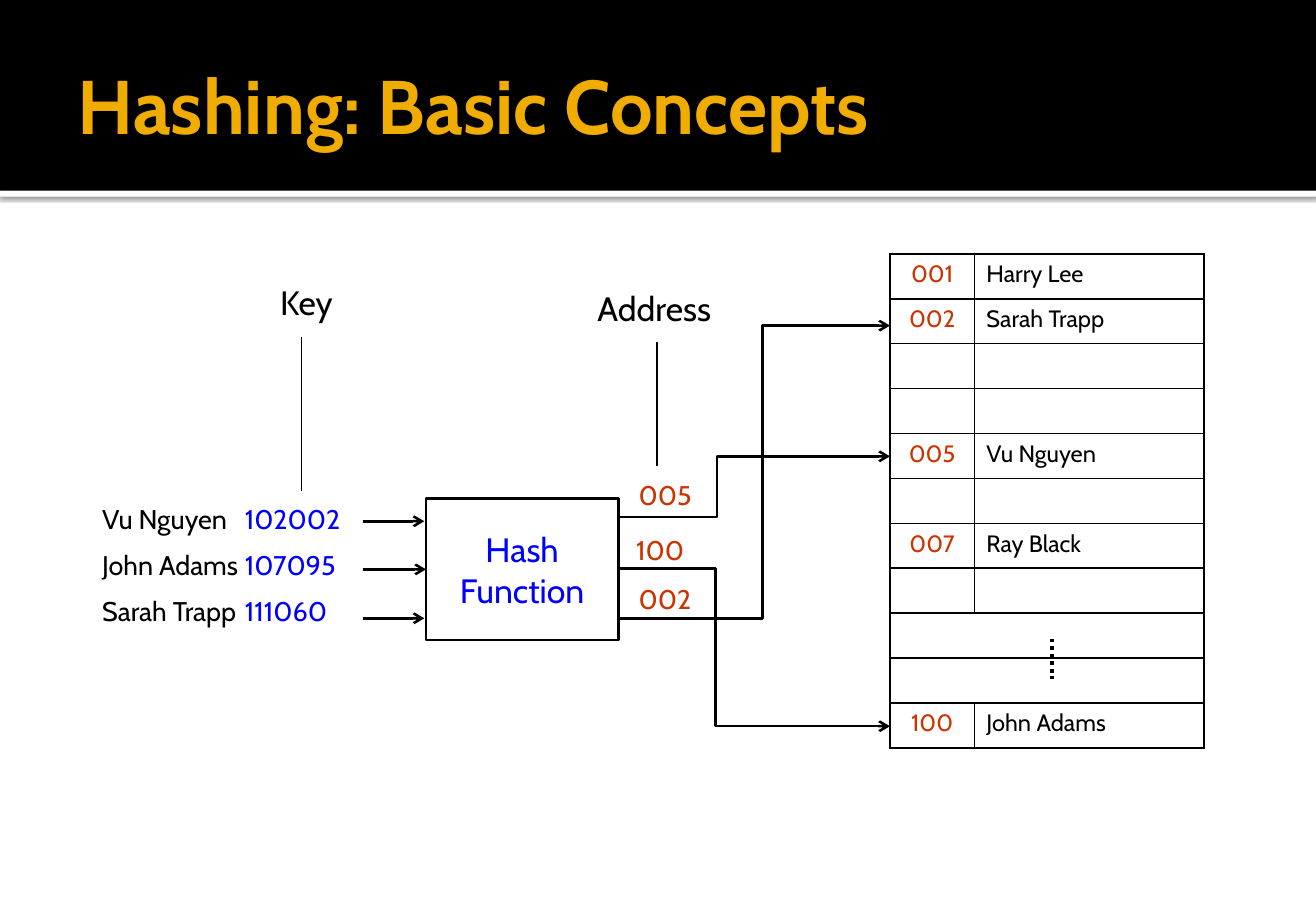
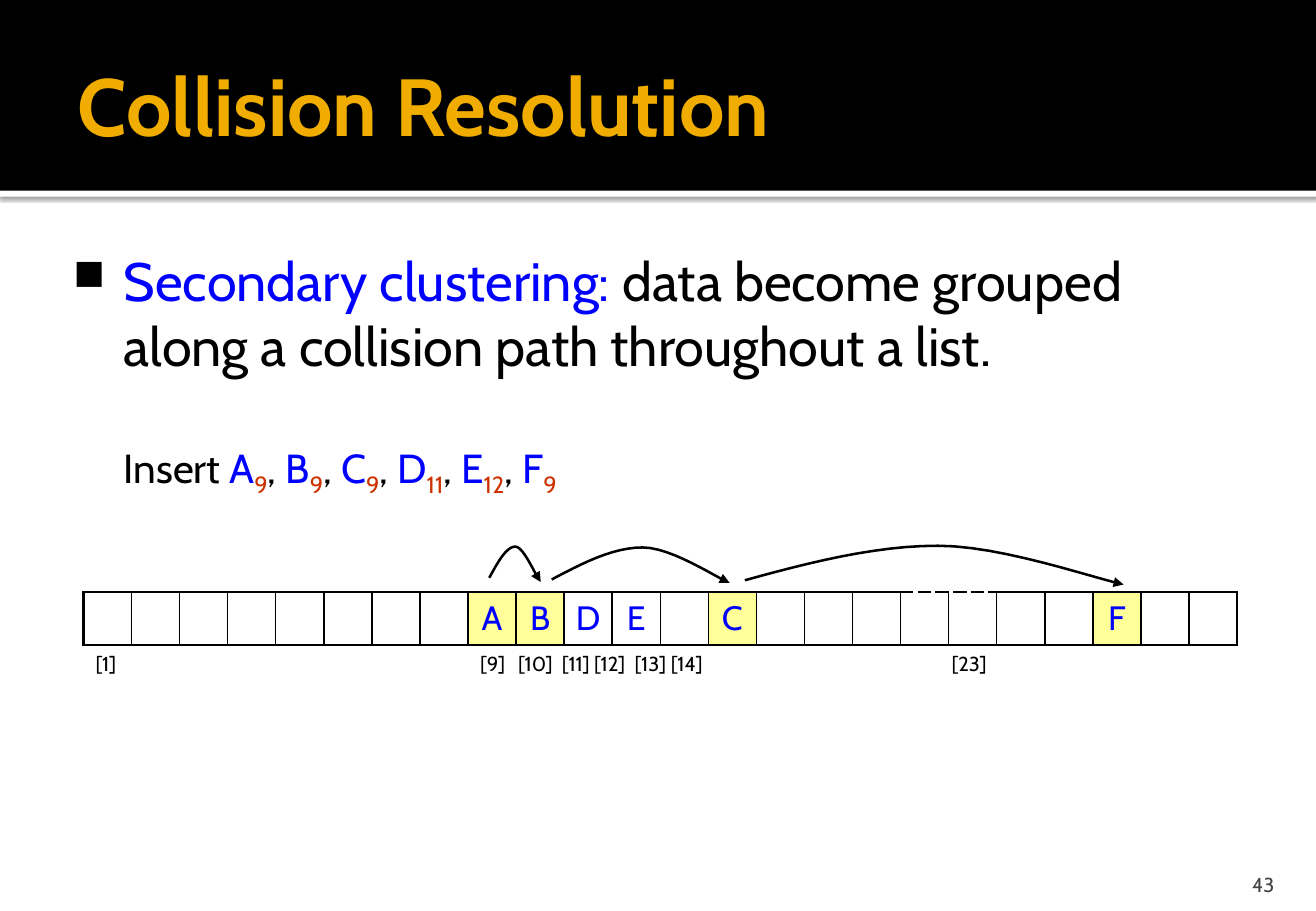
from lxml.etree import SubElement
from pptx import Presentation
from pptx.dml.color import RGBColor
from pptx.enum.shapes import MSO_CONNECTOR, MSO_SHAPE
from pptx.enum.text import MSO_ANCHOR, PP_ALIGN
from pptx.oxml.ns import qn
from pptx.util import Pt

FONT = "Cabin"
BLACK, WHITE, GOLD, GREY = "000000", "FFFFFF", "F0AD00", "454545"
BLUE, RED, YELLOW = "0000FF", "CC3300", "FFFF99"
NO_GRID_STYLE = "{2D5ABB26-0587-4C30-8999-92F81FD0307C}"


def write(text_frame, paragraphs, size, align=None, bold=False, space=0, tabs=()):
    """Fill a text frame; each paragraph is a list of (text, colour) runs."""
    text_frame.word_wrap = True
    for index, runs in enumerate(paragraphs):
        paragraph = text_frame.add_paragraph() if index else text_frame.paragraphs[0]
        paragraph.alignment = align
        if index and space:
            paragraph.space_before = Pt(space)
        if tabs:
            tab_list = SubElement(paragraph._p.get_or_add_pPr(), qn("a:tabLst"))
            for tab in tabs:
                SubElement(tab_list, qn("a:tab"), pos=str(Pt(tab)), algn="l")
        for text, colour in runs:
            run = paragraph.add_run()
            run.text = text
            run.font.name = FONT
            run.font.size = Pt(size)
            run.font.bold = bold
            run.font.color.rgb = RGBColor.from_string(colour)
        if not runs:
            SubElement(paragraph._p, qn("a:endParaRPr"), sz=str(size * 100))


def add_outline(properties, tag, width, dash="solid", arrow=None):
    """Append a black line to shape properties (a:ln) or cell properties (a:lnL ...)."""
    line = SubElement(properties, qn(tag), w=str(Pt(width)))
    fill = SubElement(line, qn("a:solidFill"))
    SubElement(fill, qn("a:srgbClr"), val=BLACK)
    SubElement(line, qn("a:prstDash"), val=dash)
    if arrow:
        SubElement(line, qn("a:tailEnd"), type=arrow)


presentation = Presentation()
presentation.slide_width, presentation.slide_height = Pt(780), Pt(540)

# Bands and titles
slides = []
for title, title_size in (("Hashing: Basic Concepts", 45), ("Collision Resolution", 48)):
    slide = presentation.slides.add_slide(presentation.slide_layouts[6])
    slides.append(slide)
    for top, height, colour in ((113, 3.6, WHITE), (0, 113, BLACK)):
        band = slide.shapes.add_shape(MSO_SHAPE.RECTANGLE, 0, Pt(top), Pt(780), Pt(height))
        band.fill.solid()
        band.fill.fore_color.rgb = RGBColor.from_string(colour)
        band.line.fill.background()
        band.shadow.inherit = False
        if colour == WHITE:
            effects = band._element.spPr.find(qn("a:effectLst"))
            shadow = SubElement(effects, qn("a:outerShdw"), blurRad=str(Pt(2.5)),
                                dist=str(Pt(0.8)), dir="5400000", rotWithShape="0")
            shade = SubElement(shadow, qn("a:srgbClr"), val=BLACK)
            SubElement(shade, qn("a:alpha"), val="60000")
    title_frame = slide.shapes.add_textbox(Pt(39), Pt(12), Pt(702), Pt(99)).text_frame
    title_frame.vertical_anchor = MSO_ANCHOR.MIDDLE
    title_frame.margin_right = Pt(3.6)
    write(title_frame, [[(title, GOLD)]], title_size, bold=True)
hashing_slide, collision_slide = slides

# Tables: address list and hash array
address_table = hashing_slide.shapes.add_table(11, 2, Pt(527.5), Pt(150.5), Pt(186), Pt(293)).table
array_table = collision_slide.shapes.add_table(2, 24, Pt(49.5), Pt(351), Pt(684), Pt(60)).table
for table, widths, heights in (
    (address_table, [50, 136], [26.64] * 11),
    (array_table, [28.5] * 24, [31.5, 28.5]),
):
    table.first_row = table.horz_banding = False
    table._tbl.tblPr.find(qn("a:tableStyleId")).text = NO_GRID_STYLE
    for column, width in zip(table.columns, widths):
        column.width = Pt(width)
    for row, height in zip(table.rows, heights):
        row.height = Pt(height)

# Address list: rows 8 and 9 form one open area
records = {0: ("001", "Harry Lee"), 1: ("002", "Sarah Trapp"), 4: ("005", "Vu Nguyen"),
           6: ("007", "Ray Black"), 10: ("100", "John Adams")}
for row in range(11):
    for column in range(2):
        cell = address_table.cell(row, column)
        runs = [(records[row][column], (RED, BLACK)[column])] if row in records else []
        write(cell.text_frame, [runs], 14, PP_ALIGN.LEFT if column else PP_ALIGN.CENTER)
        is_open = row in (8, 9)
        borders = {
            "a:lnL": 1.5 if column == 0 else 0 if is_open else 1,
            "a:lnR": 1.5 if column == 1 else 0 if is_open else 1,
            "a:lnT": 1.5 if row == 0 else 0 if row == 9 else 1,
            "a:lnB": 1.5 if row == 10 else 0 if row == 8 else 1,
        }
        for tag, width in borders.items():
            if width:
                add_outline(cell._tc.get_or_add_tcPr(), tag, width)
        cell.fill.background()

# Hash array: columns 17 and 18 stand for the part left out
letters = {8: "A", 9: "B", 10: "D", 11: "E", 13: "C", 21: "F"}
for column in range(24):
    cell = array_table.cell(0, column)
    runs = [(letters[column], BLUE)] if column in letters else []
    write(cell.text_frame, [runs], 20, PP_ALIGN.CENTER)
    # Letters get the full cell width
    cell.margin_left = cell.margin_right = Pt(3.6)
    properties = cell._tc.get_or_add_tcPr()
    if column != 18:
        add_outline(properties, "a:lnL", 1 if column else 1.5)
    if column != 17:
        add_outline(properties, "a:lnR", 1 if column < 23 else 1.5)
    if column in (17, 18):
        add_outline(properties, "a:lnT", 1, "lgDash")
    else:
        add_outline(properties, "a:lnT", 1.5)
    add_outline(properties, "a:lnB", 1.5)
    if letters.get(column, "D") in "ABCF":
        cell.fill.solid()
        cell.fill.fore_color.rgb = RGBColor.from_string(YELLOW)
    else:
        cell.fill.background()

    label_cell = array_table.cell(1, column)
    add_outline(label_cell._tc.get_or_add_tcPr(), "a:lnT", 1.5)
    label_cell.fill.background()
    if column not in (0, 8):
        write(label_cell.text_frame, [[]], 12)
for first, last, labels, tabs in (
    (0, 1, "[1]", ()),
    (8, 22, "[9]\t[10]\t[11]\t[12]\t[13]\t[14]\t[23]", (22.5, 48.5, 67.5, 91.5, 113, 279.5)),
):
    label_cell = array_table.cell(1, first)
    label_cell.merge(array_table.cell(1, last))
    write(label_cell.text_frame, [[(labels, BLACK)]], 12, tabs=tabs)

# Hash function box and labels
hash_box = hashing_slide.shapes.add_shape(
    MSO_SHAPE.RECTANGLE, Pt(252.5), Pt(295.5), Pt(114), Pt(84))
hash_box.fill.background()
hash_box.line.color.rgb = RGBColor.from_string(BLACK)
hash_box.line.width = Pt(1.5)
hash_box.shadow.inherit = False
hash_box.text_frame.vertical_anchor = MSO_ANCHOR.MIDDLE
write(hash_box.text_frame, [[("Hash", BLUE)], [("Function", BLUE)]], 20, PP_ALIGN.CENTER)

for text, left, top, width, size, colour in (
    ("Key", 159, 163.5, 54, 20, BLACK),
    ("Address", 347, 167, 96, 20, BLACK),
    ("005", 371.5, 280, 48, 16, RED),
    ("100", 370, 312.5, 48, 16, RED),
    ("002", 371.5, 342, 48, 16, RED),
):
    label = hashing_slide.shapes.add_textbox(Pt(left), Pt(top), Pt(width), Pt(size * 1.5))
    write(label.text_frame, [[(text, colour)]], size)

people = (("Vu Nguyen", "102002"), ("John Adams", "107095"), ("Sarah Trapp", "111060"))
key_list = hashing_slide.shapes.add_textbox(Pt(53.5), Pt(294.5), Pt(162), Pt(84))
write(key_list.text_frame, [[(name + "\t", BLACK), (key, BLUE)] for name, key in people],
      16, space=8, tabs=[84.5])

# Straight lines
for x1, y1, x2, y2, width, dash, arrow in (
    (215, 309, 251.5, 309, 1.5, "solid", "arrow"),
    (215, 337.5, 252.5, 337.5, 1.5, "solid", "arrow"),
    (215, 366.5, 251.5, 366.5, 1.5, "solid", "arrow"),
    (178.5, 200, 178.5, 291, 0.75, "solid", None),
    (389.5, 202.5, 389.5, 276.5, 0.75, "solid", None),
    (623.5, 378.5, 623.5, 402.5, 2.25, "sysDot", None),
):
    connector = hashing_slide.shapes.add_connector(
        MSO_CONNECTOR.STRAIGHT, Pt(x1), Pt(y1), Pt(x2), Pt(y2))
    if y2 == 337.5:
        connector.end_connect(hash_box, 1)
    add_outline(connector._element.spPr, "a:ln", width, dash, arrow)
    SubElement(connector._element.spPr, qn("a:effectLst"))

# Bent arrows to the addresses, curved arrows along the collision path
arrows = [
    (hashing_slide, "arrow", [(366.5, y1), (bend, y1), (bend, y2), (527.5, y2)])
    for y1, bend, y2 in ((306.5, 425, 270.5), (337, 424, 430.5), (366.5, 452, 193))
]
for curve in (
    [(290, 342.5), (295, 333.5), (300, 324), (305.5, 324), (310.5, 324), (317.5, 341.5), (320.5, 345)],
    [(327, 343.5), (345, 334), (363, 324.5), (381, 324.5), (398, 324.5), (424, 342), (432.5, 345.5)],
    [(441.5, 344), (479.5, 333.5), (518.5, 323.5), (556, 323.5), (593.5, 323.5), (647.5, 342.5), (666, 346.5)],
):
    points = [curve[0]]
    for start in (0, 3):
        controls = curve[start:start + 4]
        for step in range(1, 13):
            t = step / 12
            weights = ((1 - t) ** 3, 3 * t * (1 - t) ** 2, 3 * t ** 2 * (1 - t), t ** 3)
            points.append(tuple(sum(weight * control[axis] for weight, control in zip(weights, controls))
                                for axis in (0, 1)))
    arrows.append((collision_slide, "triangle", points))
for slide, head, points in arrows:
    (x, y), *others = [(Pt(x), Pt(y)) for x, y in points]
    builder = slide.shapes.build_freeform(x, y)
    builder.add_line_segments(others, close=False)
    arrow = builder.convert_to_shape()
    arrow.fill.background()
    add_outline(arrow._element.spPr, "a:ln", 1.5, arrow=head)
    arrow.shadow.inherit = False

# Collision text and page number
body_frame = collision_slide.shapes.add_textbox(Pt(39), Pt(139.5), Pt(702), Pt(170)).text_frame
body_frame.margin_left, body_frame.margin_top = Pt(4.3), Pt(7.2)
write(body_frame, [[("Secondary clustering:", BLUE),
                    (" data become grouped along a collision path throughout a list.", BLACK)]], 32)
definition = body_frame.paragraphs[0]._p.get_or_add_pPr()
definition.set("marL", str(Pt(30)))
definition.set("indent", str(Pt(-30)))
bullet_colour = SubElement(definition, qn("a:buClr"))
SubElement(bullet_colour, qn("a:srgbClr"), val=BLACK)
SubElement(definition, qn("a:buSzPct"), val="80000")
SubElement(definition, qn("a:buChar"), char="■")

insert_paragraph = body_frame.add_paragraph()
insert_paragraph.space_before = Pt(39)
insert_paragraph._p.get_or_add_pPr().set("marL", str(Pt(30)))
insert_runs = [("Insert ", BLACK)]
for letter, address in (("A", "9"), ("B", "9"), ("C", "9"), ("D", "11"), ("E", "12"), ("F", "9")):
    insert_runs += [(letter, BLUE), (address, RED), (", ", BLACK)]
for text, colour in insert_runs[:-1]:
    run = insert_paragraph.add_run()
    run.text = text
    run.font.name = FONT
    run.font.size = Pt(24)
    run.font.color.rgb = RGBColor.from_string(colour)
    if colour == RED:
        run._r.get_or_add_rPr().set("baseline", "-25000")

number_frame = collision_slide.shapes.add_textbox(Pt(700), Pt(510), Pt(62.5), Pt(21.5)).text_frame
number_frame.vertical_anchor = MSO_ANCHOR.BOTTOM
number_frame.margin_bottom = 0
write(number_frame, [[("43", GREY)]], 12, PP_ALIGN.RIGHT)

presentation.save("out.pptx")
